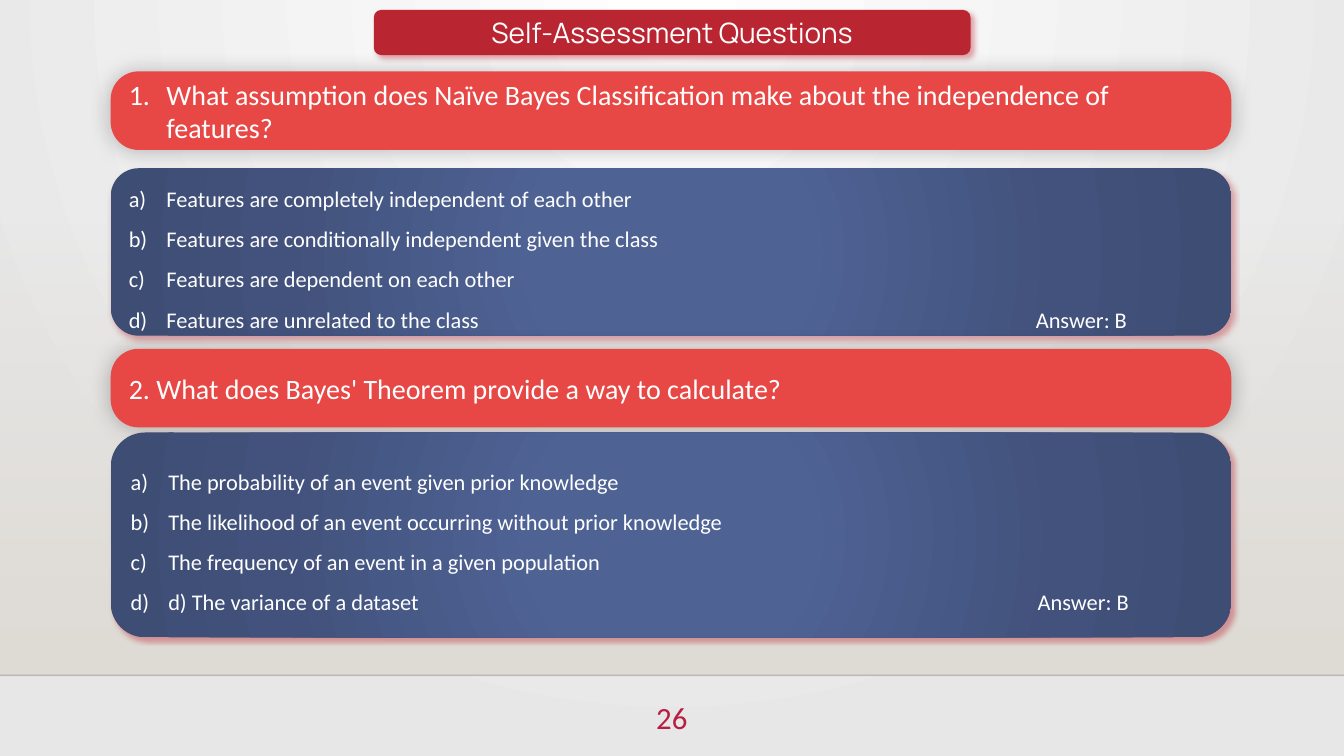
"""Build the self-assessment slide with two multiple-choice questions."""
from pptx import Presentation
from pptx import util as u
from pptx.dml.color import RGBColor
from pptx.enum import shapes, text
from pptx.oxml import parse_xml
from pptx.oxml.ns import nsdecls, qn

NS = nsdecls("a")


def paint(fill, color):
    fill.solid()
    fill.fore_color.rgb = RGBColor.from_string(color)


def gradient(parent, stops, shading):
    marks = "".join(
        f'<a:gs pos="{pos * 1000}"><a:srgbClr val="{color}"><a:alpha val="{alpha * 1000}"/></a:srgbClr></a:gs>'
        for pos, color, alpha in stops)
    solid = parent.find(qn("a:solidFill"))
    parent.replace(solid, parse_xml(
        f'<a:gradFill {NS} rotWithShape="1"><a:gsLst>{marks}</a:gsLst>{shading}</a:gradFill>'))


WHITE, CRIMSON, CORAL, NAVY = "FFFFFF", "BA2532", "E84845", "4E6294"
RED_GLOW = (CRIMSON, 40, 4, 3, 45)
DARK_GLOW = ("000000", 25, 15, 0, 0)
CARD_LEFT, CARD_WIDTH = 2.79, 28.24
CENTER, LEFT = text.PP_ALIGN.CENTER, text.PP_ALIGN.LEFT

deck = Presentation()
deck.slide_width, deck.slide_height = u.Cm(33.87), u.Cm(19.05)
page = deck.slides.add_slide(deck.slide_layouts[6])

paint(page.background.fill, WHITE)
background = next(page.element.iter(qn("p:bgPr")))
gradient(background, [(0, WHITE, 100), (100, "E7E7E7", 100)],
         '<a:path path="circle"><a:fillToRect l="43000" r="43000" b="100000"/></a:path>')

haze = page.shapes.add_shape(shapes.MSO_SHAPE.RECTANGLE, 0, u.Cm(5.61), deck.slide_width, u.Cm(11.4))
haze.shadow.inherit = False
haze.line.fill.background()
paint(haze.fill, "DFDBD5")
gradient(haze.element.spPr, [(0, "DFDBD5", 0), (100, "DFDBD5", 100)], '<a:lin ang="5400000" scaled="0"/>')

rule = page.shapes.add_connector(shapes.MSO_CONNECTOR.STRAIGHT, 0, u.Cm(17.02), deck.slide_width, u.Cm(17.02))
rule.line.width = u.Pt(1)
paint(rule.line.fill, "000001")
rule_color = next(rule.element.spPr.iter(qn("a:srgbClr")))
rule_color.append(parse_xml(f'<a:alpha {NS} val="20000"/>'))
rule.element.spPr.append(parse_xml(f"<a:effectLst {NS}/>"))

number = page.shapes.add_textbox(u.Cm(15.8), u.Cm(17.48), u.Cm(2.26), u.Cm(1.4))
number.text_frame.word_wrap = True
para = number.text_frame.paragraphs[0]
para.alignment = CENTER
span = para.add_run()
span.text = "26"
span.font.size, span.font.name = u.Pt(22), "Calibri"
paint(span.font.fill, "B71E42")

cards = [
    (9.42, 0.25, 15.04, 1.14, 0.167, CRIMSON, RED_GLOW, "Manrope", 20, None,
     ["Self-Assessment Questions"]),
    (CARD_LEFT, 1.8, CARD_WIDTH, 1.98, 0.356, CORAL, DARK_GLOW, "Calibri", 20, "arabicPeriod",
     ["What assumption does Naïve Bayes Classification make about the independence of features?"]),
    (CARD_LEFT, 4.24, CARD_WIDTH, 4.22, 0.167, NAVY, RED_GLOW, "Calibri", 16, "alphaLcParenR",
     ["Features are completely independent of each other",
      "Features are conditionally independent given the class",
      "Features are dependent on each other",
      "Features are unrelated to the class\tAnswer: B"]),
    (CARD_LEFT, 8.79, CARD_WIDTH, 1.98, 0.356, CORAL, DARK_GLOW, "Calibri", 20, None,
     ["2. What does Bayes' Theorem provide a way to calculate?"]),
    (CARD_LEFT, 10.9, CARD_WIDTH, 5.16, 0.167, NAVY, RED_GLOW, "Calibri", 16, "alphaLcParenR",
     ["The probability of an event given prior knowledge",
      "The likelihood of an event occurring without prior knowledge",
      "The frequency of an event in a given population",
      "d) The variance of a dataset\tAnswer: B"]),
]

for left, top, width, height, corner, color, glow, font, size, numbering, lines in cards:
    box = page.shapes.add_shape(shapes.MSO_SHAPE.ROUNDED_RECTANGLE,
                                u.Cm(left), u.Cm(top), u.Cm(width), u.Cm(height))
    box.adjustments[0] = corner
    box.line.fill.background()
    paint(box.fill, color)
    if color == NAVY:
        gradient(box.element.spPr,
                 [(0, NAVY, 100), (23, NAVY, 100), (69, "42527C", 100), (97, "3E4D74", 100)],
                 '<a:path path="circle"><a:fillToRect l="50000" t="50000" r="50000" b="50000"/></a:path>')
    box.shadow.inherit = False
    shade, alpha, blur, distance, angle = glow
    box.element.spPr.find(qn("a:effectLst")).append(parse_xml(
        f'<a:outerShdw {NS} blurRad="{u.Pt(blur)}" dist="{u.Pt(distance)}" dir="{angle * 60000}" '
        f'algn="ctr" rotWithShape="0"><a:srgbClr val="{shade}"><a:alpha val="{alpha * 1000}"/>'
        '</a:srgbClr></a:outerShdw>'))

    frame = box.text_frame
    frame.word_wrap = True
    frame.vertical_anchor = text.MSO_ANCHOR.MIDDLE
    for index, line in enumerate(lines):
        para = frame.add_paragraph() if index else frame.paragraphs[0]
        para.alignment = CENTER if color == CRIMSON else LEFT
        if color == NAVY:
            para.line_spacing = 1.5
        if numbering:
            layout = para._p.get_or_add_pPr()
            layout.set("marL", str(u.Cm(0.95)))
            layout.set("indent", str(u.Cm(-0.95)))
            layout.append(parse_xml(f'<a:buFont {NS} typeface="+mj-lt"/>'))
            layout.append(parse_xml(f'<a:buAutoNum {NS} type="{numbering}"/>'))
            if "\t" in line:
                layout.append(parse_xml(
                    f'<a:tabLst {NS}><a:tab pos="{u.Cm(22.86)}" algn="l"/></a:tabLst>'))
        span = para.add_run()
        span.text = line
        span.font.size, span.font.name = u.Pt(size), font
        paint(span.font.fill, WHITE)

deck.save("out.pptx")
